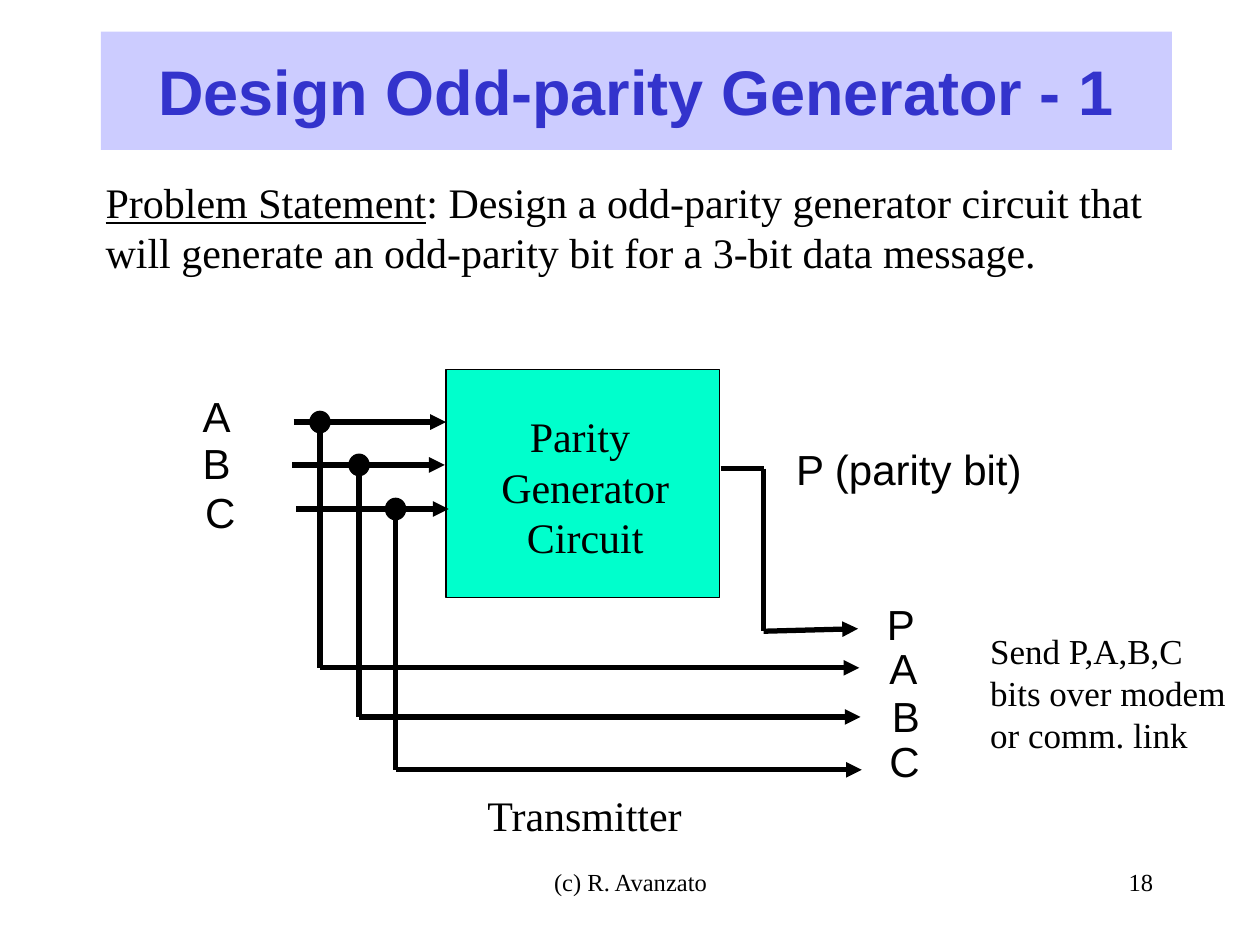
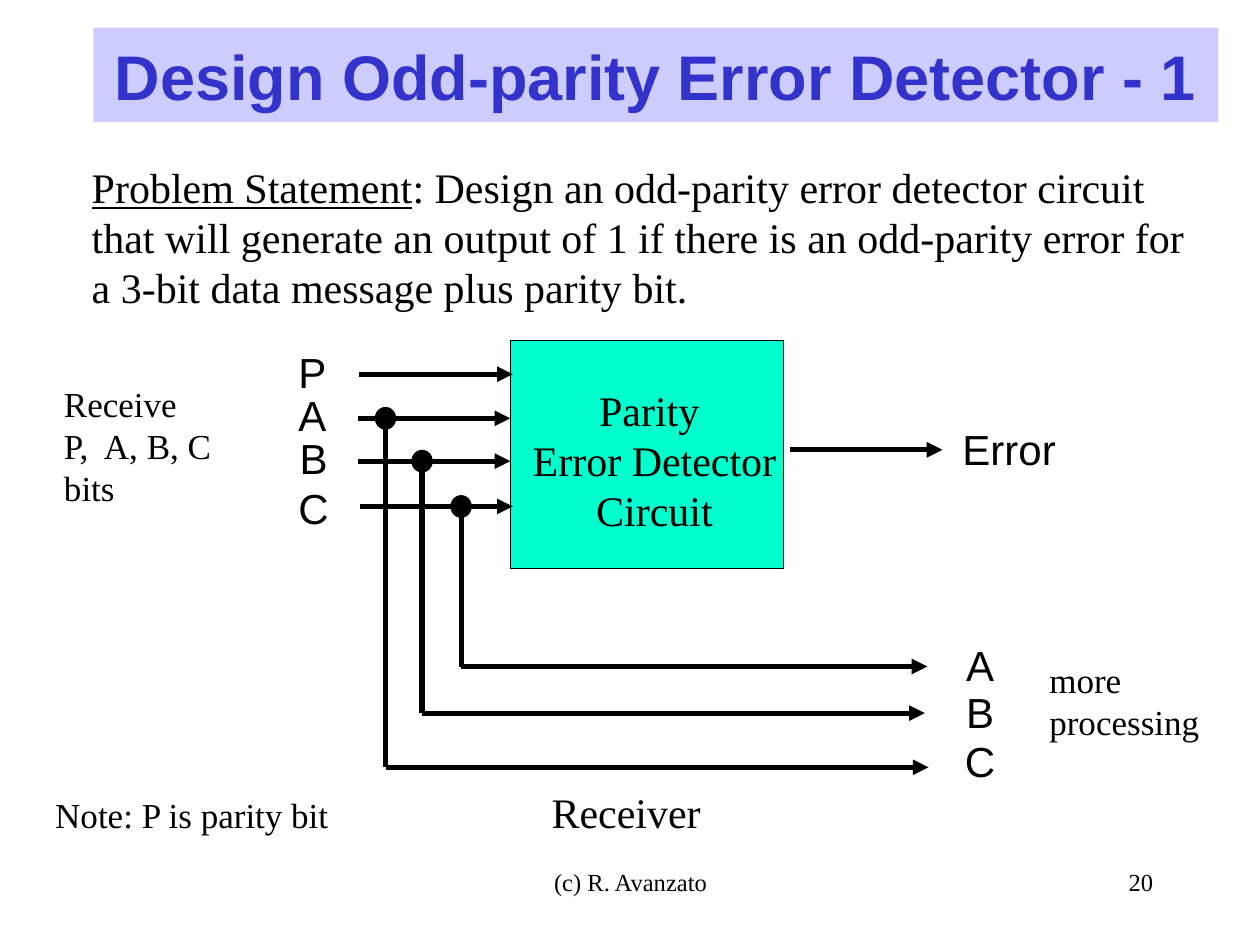
from lxml.etree import SubElement
from pptx import Presentation
from pptx.dml.color import RGBColor
from pptx.enum.shapes import MSO_CONNECTOR, MSO_SHAPE
from pptx.enum.text import MSO_ANCHOR, MSO_AUTO_SIZE, PP_ALIGN
from pptx.oxml.ns import qn
from pptx.util import Inches, Pt

TITLE_ONLY = 5
SERIF, SANS = "Times New Roman", "Arial"
BLACK, TITLE_BLUE, TITLE_BAND, BLOCK_GREEN = "000000", "3333CC", "CCCCFF", "00FFCC"
BLOCK_WIDTH, BLOCK_HEIGHT = 2.17, 1.81
LETTER_WIDTH, LINE_HEIGHT = 0.45, 0.5
DOT_WIDTH, DOT_HEIGHT = 0.16, 0.17


def color(hex_string):
    return RGBColor.from_string(hex_string)


class CircuitDeck:
    def __init__(self):
        self.presentation = Presentation()
        self.presentation.slide_width = Inches(10)
        self.presentation.slide_height = Inches(7.5)
        self.slide = None

    def start_slide(self, title, band, number):
        layout = self.presentation.slide_layouts[TITLE_ONLY]
        self.slide = self.presentation.slides.add_slide(layout)
        shape = self.slide.shapes.title
        shape.left, shape.top, shape.width, shape.height = map(Inches, band)
        shape.fill.solid()
        shape.fill.fore_color.rgb = color(TITLE_BAND)
        frame = shape.text_frame
        frame.auto_size = MSO_AUTO_SIZE.NONE
        frame.vertical_anchor = MSO_ANCHOR.MIDDLE
        paragraph = frame.paragraphs[0]
        paragraph.alignment = PP_ALIGN.CENTER
        self.run(paragraph, title, 36, SANS, TITLE_BLUE).font.bold = True
        self.text(3.42, 6.83, 3.17, 0.5, ["(c) R. Avanzato"], 14, align=PP_ALIGN.CENTER)
        self.text(7.17, 6.83, 2.08, 0.5, [number], 14, align=PP_ALIGN.RIGHT)

    def run(self, paragraph, words, size, font=SERIF, ink=BLACK):
        run = paragraph.add_run()
        run.text = words
        run.font.size, run.font.name = Pt(size), font
        run.font.color.rgb = color(ink)
        return run

    def text_frame(self, left, top, width, height, wrap):
        box = self.slide.shapes.add_textbox(*map(Inches, (left, top, width, height)))
        box.text_frame.word_wrap = wrap
        return box.text_frame

    def text(self, left, top, width, height, lines, size=24, font=SERIF, align=PP_ALIGN.LEFT):
        """Add a text box with one paragraph per line."""
        frame = self.text_frame(left, top, width, height, wrap=False)
        for index, line in enumerate(lines):
            paragraph = frame.add_paragraph() if index else frame.paragraphs[0]
            paragraph.alignment = align
            self.run(paragraph, line, size, font)

    def problem(self, left, top, height, statement):
        frame = self.text_frame(left, top, 8.96, height, wrap=True)
        paragraph = frame.paragraphs[0]
        self.run(paragraph, "Problem Statement", 24).font.underline = True
        self.run(paragraph, ": " + statement, 24)

    def signal_name(self, left, top, name, width=LETTER_WIDTH):
        self.text(left, top, width, LINE_HEIGHT, [name], font=SANS)

    def preset(self, kind, left, top, width, height, fill):
        shape = self.slide.shapes.add_shape(kind, *map(Inches, (left, top, width, height)))
        shape.shadow.inherit = False
        shape.fill.solid()
        shape.fill.fore_color.rgb = color(fill)
        shape.line.color.rgb = color(BLACK)
        shape.line.width = Pt(0.75)

    def block(self, left, top, caption, caption_box):
        self.preset(MSO_SHAPE.RECTANGLE, left, top, BLOCK_WIDTH, BLOCK_HEIGHT, BLOCK_GREEN)
        self.text(*caption_box, caption, align=PP_ALIGN.CENTER)

    def wire(self, *points):
        """Join the points with straight lines, with an arrowhead at the last one."""
        for start, end in zip(points, points[1:]):
            connector = self.slide.shapes.add_connector(
                MSO_CONNECTOR.STRAIGHT, *map(Inches, start + end))
            connector.line.color.rgb = color(BLACK)
            connector.line.width = Pt(3)
            properties = connector._element.spPr
            SubElement(properties, qn("a:effectLst"))
        SubElement(properties.find(qn("a:ln")), qn("a:tailEnd"), type="triangle")

    def tapped_signal(self, name, name_at, input_line, tap_x, output_line, output_name_at):
        """Lead a signal into the block and branch it off to an output below."""
        start_x, end_x, input_y = input_line
        output_x, output_y = output_line
        self.signal_name(*name_at, name)
        self.wire((start_x, input_y), (end_x, input_y))
        self.wire((tap_x, input_y), (tap_x, output_y), (output_x, output_y))
        self.preset(MSO_SHAPE.OVAL, tap_x - DOT_WIDTH / 2, input_y - DOT_HEIGHT / 2,
                    DOT_WIDTH, DOT_HEIGHT, BLACK)
        self.signal_name(*output_name_at, name)


def add_generator(deck):
    deck.start_slide("Design Odd-parity Generator - 1", (0.8, 0.25, 8.5, 0.94), "18")
    deck.problem(0.74, 1.35, 0.9, "Design a odd-parity generator circuit that will "
                 "generate an odd-parity bit for a 3-bit data message.")
    deck.block(3.54, 2.93, ["Parity ", "Generator", "Circuit"], (3.83, 3.21, 1.63, 1.3))
    for signal in (
        ("A", (1.51, 3.05), (2.33, 3.54, 3.35), 2.54, (6.82, 5.3), (6.96, 5.05)),
        ("B", (1.51, 3.42), (2.32, 3.53, 3.69), 2.85, (6.83, 5.69), (6.98, 5.43)),
        ("C", (1.53, 3.81), (2.35, 3.56, 4.04), 3.14, (6.84, 6.11), (6.96, 5.79)),
    ):
        deck.tapped_signal(*signal)
    deck.wire((5.72, 3.72), (6.06, 3.72), (6.06, 5.01), (6.81, 4.99))
    deck.signal_name(6.22, 3.47, "P (parity bit)", 2.1)
    deck.signal_name(6.94, 4.7, "P")
    deck.text(3.77, 6.22, 1.9, LINE_HEIGHT, ["Transmitter"])
    deck.text(7.76, 4.95, 2.2, 1.1, ["Send P,A,B,C", "bits over modem", "or comm. link"], 20)


def add_error_detector(deck):
    deck.start_slide("Design Odd-parity Error Detector - 1", (0.74, 0.22, 8.93, 0.75), "20")
    deck.problem(0.63, 1.23, 1.3, "Design an odd-parity error detector circuit that will "
                 "generate an output of 1 if there is an odd-parity error for a 3-bit data "
                 "message plus parity bit.")
    deck.block(4.05, 2.7, ["Parity ", "Error Detector", "Circuit"], (4.03, 3, 2.33, 1.3))
    deck.signal_name(2.27, 2.7, "P")
    deck.wire((2.85, 2.97), (4.07, 2.97))
    for signal in (
        ("A", (2.27, 3.04), (2.84, 4.05, 3.32), 3.06, (7.37, 6.09), (7.57, 5.03)),
        ("B", (2.28, 3.38), (2.84, 4.05, 3.66), 3.35, (7.34, 5.66), (7.57, 5.4)),
        ("C", (2.27, 3.78), (2.86, 4.07, 4.02), 3.66, (7.36, 5.29), (7.56, 5.79)),
    ):
        deck.tapped_signal(*signal)
    deck.wire((6.27, 3.57), (7.48, 3.57))
    deck.signal_name(7.54, 3.31, "Error", 1.05)
    deck.text(4.28, 6.19, 1.6, LINE_HEIGHT, ["Receiver"])
    deck.text(0.41, 2.99, 1.5, 1.1, ["Receive", "P,  A, B, C", "bits"], 20)
    deck.text(8.23, 5.18, 1.5, 0.77, ["more", "processing"], 20)
    deck.text(0.34, 6.25, 2.5, 0.44, ["Note: P is parity bit"], 20)


def main():
    deck = CircuitDeck()
    add_generator(deck)
    add_error_detector(deck)
    deck.presentation.save("out.pptx")


if __name__ == "__main__":
    main()
